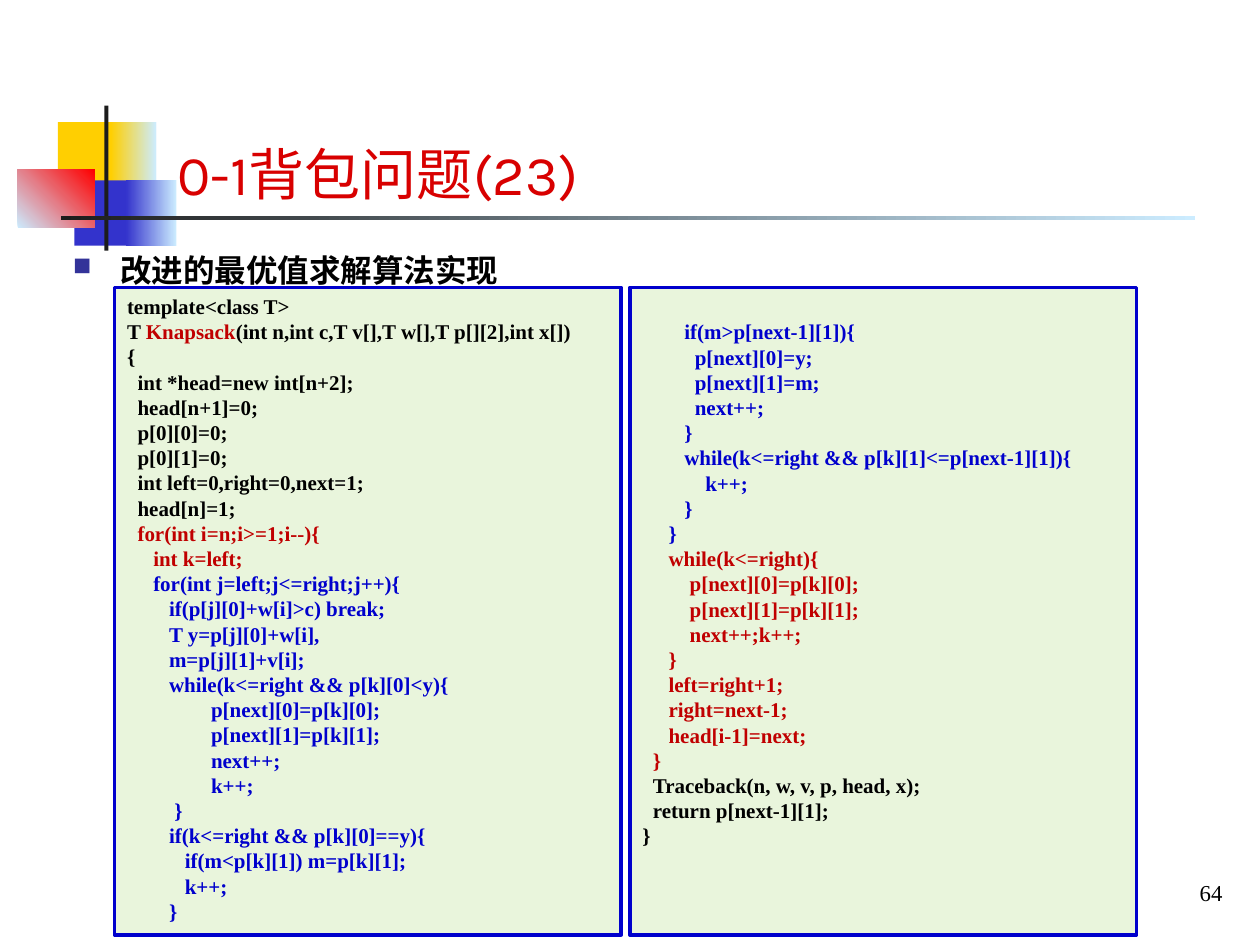
from lxml import etree
from pptx import Presentation
from pptx.dml.color import RGBColor
from pptx.enum import shapes, text
from pptx.oxml import ns
from pptx.util import Pt

HUES = {
    "gold": "FFCF01", "ice": "CCECFF", "blue": "3333CC", "red": "FF0000",
    "dark": "1C1C1C", "green": "92D050", "edge": "0000CC", "title": "D80000",
    "mark": "333399", "black": "000000", "brick": "C00000",
}
SERIF = "Times New Roman"
CODE = {"name": SERIF, "size": Pt(12), "bold": True}
LEFT, RIGHT, TOP = 65.5, 360, 164.2
LINE = 14.4

LEFT_CODE = [
    ("black", """template<class T>
T Knapsack(int n,int c,T v[],T w[],T p[][2],int x[])
{
  int *head=new int[n+2];
  head[n+1]=0;
  p[0][0]=0;
  p[0][1]=0;
  int left=0,right=0,next=1;
  head[n]=1;"""),
    ("brick", """  for(int i=n;i>=1;i--){
     int k=left;"""),
    ("edge", """     for(int j=left;j<=right;j++){
        if(p[j][0]+w[i]>c) break;
        T y=p[j][0]+w[i],
        m=p[j][1]+v[i];
        while(k<=right && p[k][0]<y){
                p[next][0]=p[k][0];
                p[next][1]=p[k][1];
                next++;
                k++;
         }
        if(k<=right && p[k][0]==y){
           if(m<p[k][1]) m=p[k][1];
           k++;
        }"""),
]
RIGHT_CODE = [
    ("edge", """        if(m>p[next-1][1]){
          p[next][0]=y;
          p[next][1]=m;
          next++;
        }
        while(k<=right && p[k][1]<=p[next-1][1]){
            k++;
        }
     }"""),
    ("brick", """     while(k<=right){
         p[next][0]=p[k][0];
         p[next][1]=p[k][1];
         next++;k++;
     }
     left=right+1;
     right=next-1;
     head[i-1]=next;
  }"""),
    ("black", """  Traceback(n, w, v, p, head, x);
  return p[next-1][1];
}"""),
]

deck = Presentation()
deck.slide_width, deck.slide_height = Pt(720), Pt(540)
slide = deck.slides.add_slide(deck.slide_layouts[6])


def add_box(area, anchor=text.MSO_ANCHOR.TOP):
    frame = slide.shapes.add_textbox(*map(Pt, area)).text_frame
    frame.word_wrap = True
    frame.vertical_anchor = anchor
    return frame


def add_run(para, words, hue, style):
    run = para.add_run()
    run.text = words
    for key, value in style.items():
        setattr(run.font, key, value)
    run.font.color.rgb = RGBColor.from_string(HUES[hue])


for area, tints, angle in [
    ((33.1, 69.8, 34.6, 37.4), ["gold"], 0),
    ((63.4, 69.8, 25.9, 37.4), ["gold", "ice"], 0),
    ((42.5, 103, 33.1, 37.4), ["blue"], 0),
    ((72, 103, 28.8, 37.4), ["blue", "ice"], 0),
    ((10, 97, 44.2, 33.3), ["ice", "red"], 45),
    ((59.6, 60.4, 2.4, 82.8), ["dark"], 0),
    ((34.8, 123.4, 648, 2.4), ["dark", "ice"], 0),
    ((RIGHT, TOP, 289.4, 370.1), ["green"], 0),
    ((LEFT, TOP, 289.4, 370.1), ["green"], 0),
]:
    block = slide.shapes.add_shape(shapes.MSO_SHAPE.RECTANGLE, *map(Pt, area))
    block.shadow.inherit = False
    block.line.fill.background()
    if len(tints) == 2:
        block.fill.gradient()
        block.fill.gradient_angle = angle
        for stop, tint in zip(block.fill.gradient_stops, tints):
            stop.color.rgb = RGBColor.from_string(HUES[tint])
    else:
        block.fill.solid()
        block.fill.fore_color.rgb = RGBColor.from_string(HUES[tints[0]])
    if tints == ["green"]:
        color = block.fill._xPr.find(".//" + ns.qn("a:srgbClr"))
        etree.SubElement(color, ns.qn("a:alpha"), val="20000")
        block.line.color.rgb = RGBColor.from_string(HUES["edge"])
        block.line.width = Pt(2)

page = add_box((568, 496.8, 137.6, 26.6), text.MSO_ANCHOR.MIDDLE).paragraphs[0]
page.alignment = text.PP_ALIGN.RIGHT
add_run(page, "64", "black", {"name": SERIF, "size": Pt(13)})

title = add_box((94.3, 43.2, 606.2, 78.5), text.MSO_ANCHOR.BOTTOM).paragraphs[0]
add_run(title, "0-1背包问题(23)", "title", {"name": "Karla", "size": Pt(32)})

topic = add_box((34.6, 139.7, 654.5, 28.8)).paragraphs[0]
add_run(topic, "改进的最优值求解算法实现", "black", {**CODE, "size": Pt(18)})
props = topic._p.get_or_add_pPr()
props.set("marL", str(Pt(27)))
props.set("indent", str(-Pt(27)))
tint = etree.SubElement(props, ns.qn("a:buClr"))
etree.SubElement(tint, ns.qn("a:srgbClr"), val=HUES["mark"])
etree.SubElement(props, ns.qn("a:buSzPct"), val="80000")
etree.SubElement(props, ns.qn("a:buChar"), char="■")

for area, inset, parts in [
    ((LEFT, TOP, 289.4, 367.2), 3.6, LEFT_CODE),
    ((RIGHT, TOP, 266.4, 324), 3.6 + LINE, RIGHT_CODE),
]:
    frame = add_box(area)
    frame.margin_top = Pt(inset)
    lines = [(hue, line) for hue, part in parts for line in part.splitlines()]
    for at, (hue, line) in enumerate(lines):
        para = frame.add_paragraph() if at else frame.paragraphs[0]
        para.line_spacing = Pt(LINE)
        code = line.lstrip()
        props = para._p.get_or_add_pPr()
        props.set("marL", str(Pt(3 * (len(line) - len(code)))))
        props.set("indent", "0")
        start, name, rest = code.partition("Knapsack")
        for words, shade in [(start, hue), (name, "brick"), (rest, hue)]:
            if words:
                add_run(para, words, shade, CODE)

deck.save("out.pptx")
